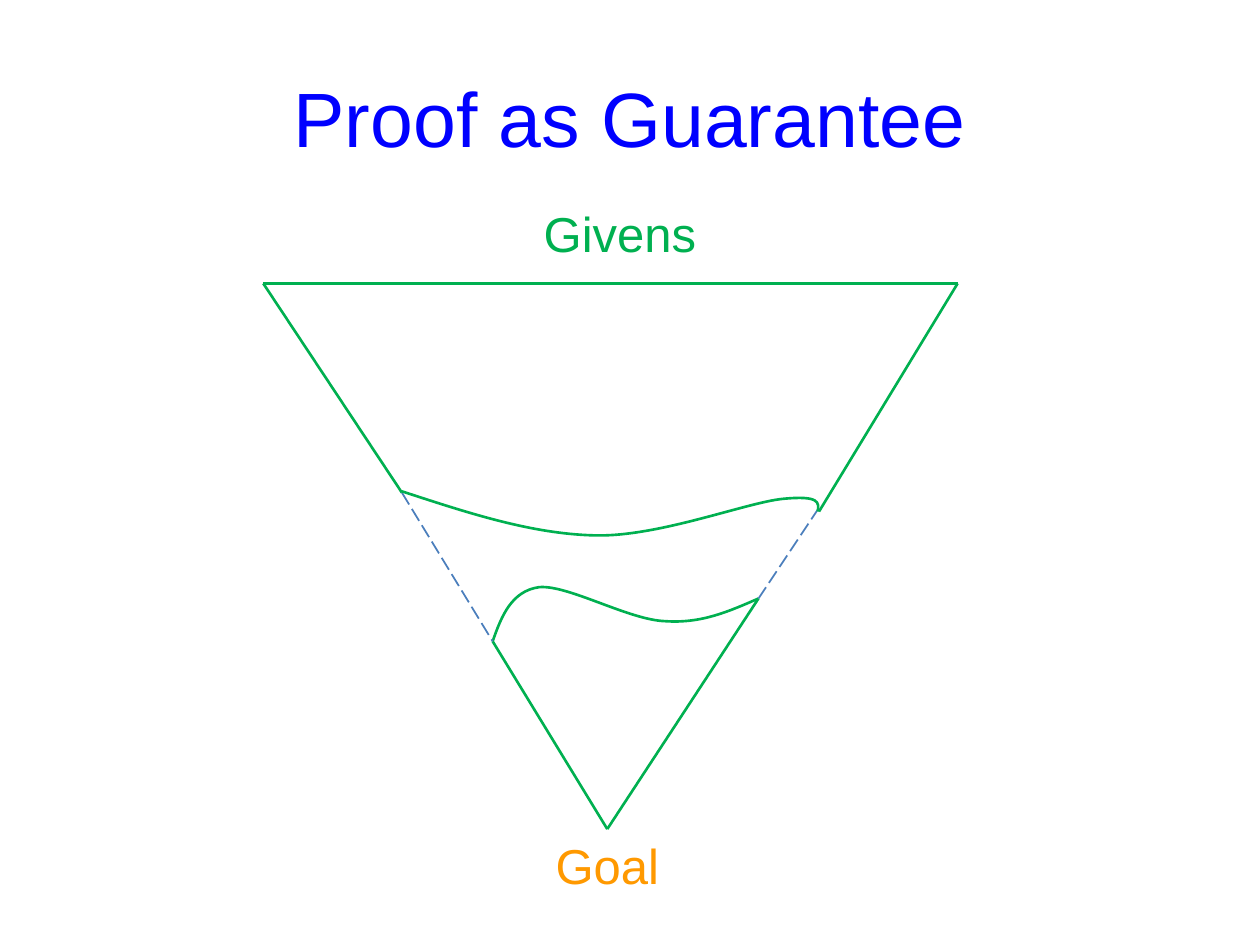
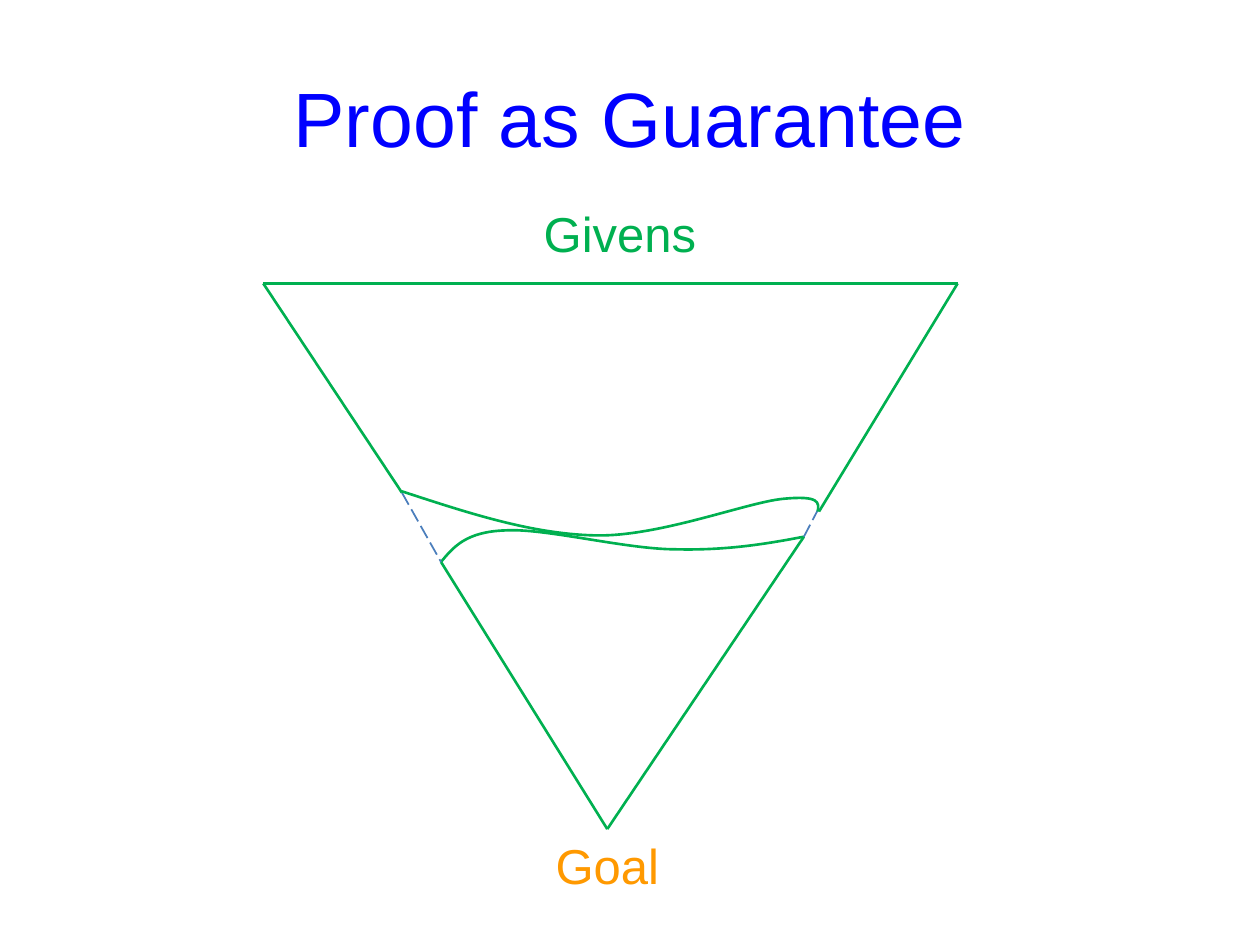
from dataclasses import dataclass

import pptx
import pptx.dml.color
import pptx.enum.dml
import pptx.enum.shapes
import pptx.enum.text
import pptx.oxml
import pptx.oxml.ns
import pptx.util


@dataclass(frozen=True)
class Theme:
    font: str = "Arial"
    title_color: str = "0000FF"
    known_color: str = "00B050"
    goal_color: str = "FF9900"
    gap_color: str = "4B7EBC"
    title_size: int = 44
    label_size: int = 28
    known_width: float = 1.5
    gap_width: float = 1


COLUMNS, ROWS = 100, 75
TITLE_ONLY = 5

# Points and boxes are in columns and rows of the grid.
TOP_LEFT, TOP_RIGHT, TIP = (20.9, 22.5), (76, 22.5), (48.2, 65.8)
UPPER_LEFT, UPPER_RIGHT = (31.9, 39.1), (65, 40.6)
GAP_TOP_RIGHT = (65, 40.3)
UPPER_EDGE = [
    (31.9, 39),
    (37.1, 40.7), (42.2, 42.4), (47.3, 42.5),
    (52.3, 42.6), (59.2, 39.9), (62.1, 39.6),
    (65.1, 39.3), (65, 39.9), (64.9, 40.6),
]
LOWER_EDGES = [
    [
        (39.1, 50.9),
        (39.8, 48.9), (40.6, 46.9), (42.8, 46.6),
        (45.1, 46.4), (49.9, 49.2), (52.8, 49.3),
        (55.7, 49.5), (57.9, 48.5), (60.2, 47.5),
    ],
    [
        (35, 44.6),
        (36, 43.4), (37, 42.2), (40.1, 42.1),
        (43.2, 41.9), (49.7, 43.6), (53.6, 43.6),
        (57.5, 43.7), (60.7, 43.2), (63.8, 42.6),
    ],
]


class SlideBuilder:
    def __init__(self, deck, theme):
        self.deck = deck
        self.theme = theme
        self.page = None

    def x(self, columns):
        return round(self.deck.slide_width * columns / COLUMNS)

    def y(self, rows):
        return round(self.deck.slide_height * rows / ROWS)

    def point(self, place):
        return self.x(place[0]), self.y(place[1])

    def add_text(self, box, text, size, color):
        para = box.text_frame.paragraphs[0]
        para.alignment = pptx.enum.text.PP_ALIGN.CENTER
        span = para.add_run()
        span.text = text
        span.font.name = self.theme.font
        span.font.size = pptx.util.Pt(size)
        span.font.color.rgb = pptx.dml.color.RGBColor.from_string(color)

    def start_page(self, title):
        self.page = self.deck.slides.add_slide(self.deck.slide_layouts[TITLE_ONLY])
        box = self.page.shapes.title
        box.left, box.top = self.point((5, 3))
        box.width, box.height = self.point((90, 12.5))
        box.text_frame.vertical_anchor = pptx.enum.text.MSO_ANCHOR.MIDDLE
        self.add_text(box, title, self.theme.title_size, self.theme.title_color)

    def label(self, text, corner, color):
        box = self.page.shapes.add_textbox(*self.point(corner), *self.point((18.6, 5.7)))
        box.text_frame.word_wrap = True
        box.text_frame.auto_size = pptx.enum.text.MSO_AUTO_SIZE.SHAPE_TO_FIT_TEXT
        self.add_text(box, text, self.theme.label_size, color)

    def stroke(self, shape, color, width):
        shape.line.color.rgb = pptx.dml.color.RGBColor.from_string(color)
        shape.line.width = pptx.util.Pt(width)

    def line(self, start, end, is_gap=False):
        """Draw a solid known edge, or a dashed one across a gap in the proof."""
        edge = self.page.shapes.add_connector(
            pptx.enum.shapes.MSO_CONNECTOR.STRAIGHT, *self.point(start), *self.point(end))
        if is_gap:
            self.stroke(edge, self.theme.gap_color, self.theme.gap_width)
            edge.line.dash_style = pptx.enum.dml.MSO_LINE.LONG_DASH
        else:
            self.stroke(edge, self.theme.known_color, self.theme.known_width)
        edge.element.spPr.append(pptx.oxml.parse_xml(
            f'<a:effectLst {pptx.oxml.ns.nsdecls("a")}/>'))

    def curve(self, points):
        """Draw Bezier segments: a start point, then two controls and an end for each."""
        start, *others = [self.point(place) for place in points]
        outline = self.page.shapes.build_freeform(*start, scale=1.0)
        outline.add_line_segments(others, close=False)
        shape = outline.convert_to_shape()
        shape.fill.background()
        shape.shadow.inherit = False
        self.stroke(shape, self.theme.known_color, self.theme.known_width)
        segments = shape.element.xpath(".//a:lnTo")
        for first in range(0, len(segments), 3):
            bezier = pptx.oxml.parse_xml(
                f'<a:cubicBezTo {pptx.oxml.ns.nsdecls("a")}/>')
            segments[first].addprevious(bezier)
            for segment in segments[first:first + 3]:
                bezier.append(segment[0])
                segment.getparent().remove(segment)


def add_proof_page(builder, lower_edge):
    theme = builder.theme
    lower_left, lower_right = lower_edge[0], lower_edge[-1]
    builder.start_page("Proof as Guarantee")
    for start, end in [
        (TOP_LEFT, TOP_RIGHT),
        (TOP_LEFT, UPPER_LEFT),
        (TOP_RIGHT, UPPER_RIGHT),
        (lower_left, TIP),
        (TIP, lower_right),
    ]:
        builder.line(start, end)
    builder.curve(lower_edge)
    builder.line(UPPER_LEFT, lower_left, is_gap=True)
    builder.line(GAP_TOP_RIGHT, lower_right, is_gap=True)
    builder.curve(UPPER_EDGE)
    builder.label("Givens", (39.9, 15.7), theme.known_color)
    builder.label("Goal", (38.9, 65.8), theme.goal_color)


def main():
    deck = pptx.Presentation()
    deck.slide_width = pptx.util.Inches(10)
    deck.slide_height = pptx.util.Inches(7.5)
    builder = SlideBuilder(deck, Theme())
    for lower_edge in LOWER_EDGES:
        add_proof_page(builder, lower_edge)
    deck.save("out.pptx")


if __name__ == "__main__":
    main()
